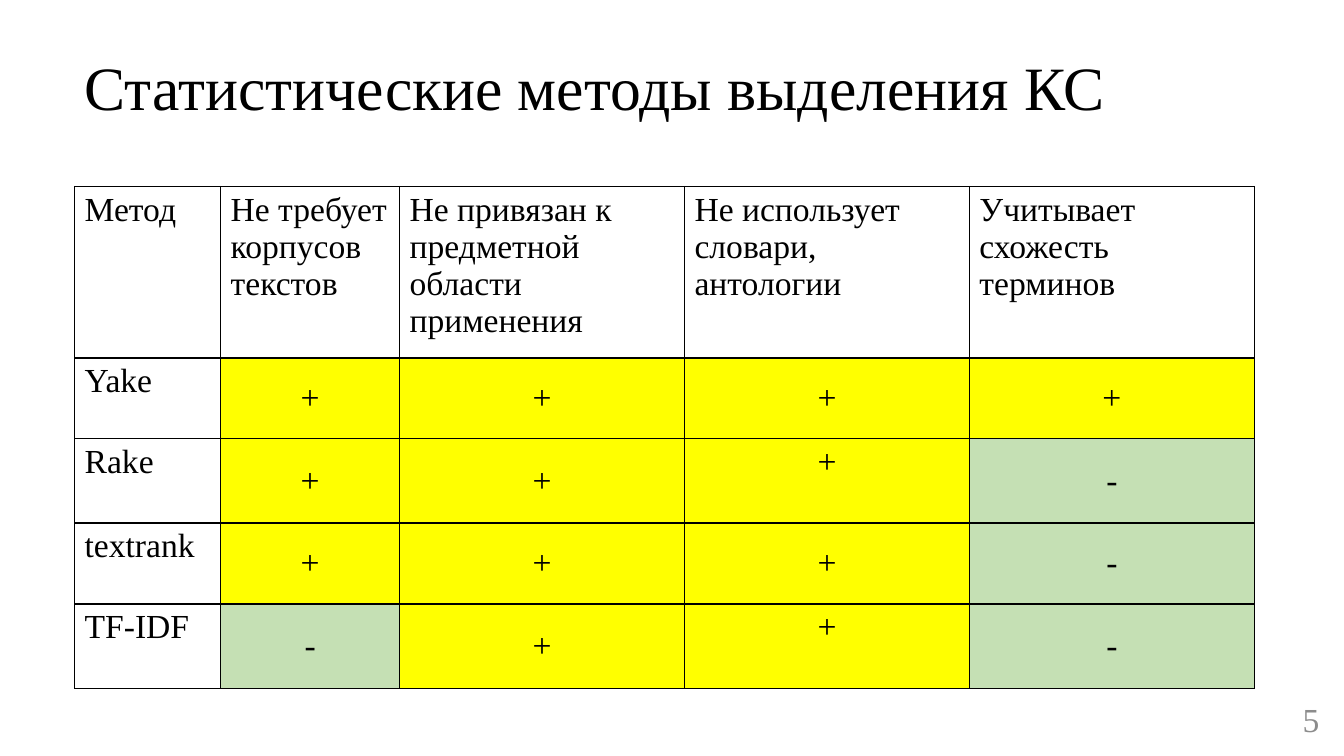
from lxml import etree
from pptx import Presentation
from pptx.dml.color import RGBColor
from pptx.enum.text import MSO_ANCHOR, PP_ALIGN
from pptx.oxml.ns import qn
from pptx.util import Cm, Pt

LEFT, CENTER, RIGHT = PP_ALIGN.LEFT, PP_ALIGN.CENTER, PP_ALIGN.RIGHT
TOP, MIDDLE = MSO_ANCHOR.TOP, MSO_ANCHOR.MIDDLE

HEADS = [
    "Метод",
    "Не требует корпусов текстов",
    "Не привязан к предметной области применения",
    "Не использует словари, антологии",
    "Учитывает схожесть терминов",
]
MARKS = {"Yake": "++++", "Rake": "+++-", "textrank": "+++-", "TF-IDF": "-++-"}
RAISED = [(2, 3), (4, 3)]
FILLS = {"+": "FFFF00", "-": "C5E0B4"}
WIDTHS = [3.68, 4.51, 7.18, 7.18, 7.18]
HEIGHTS = [4.01, 2.04, 2.12, 2.04, 2.12]


def color(code):
    return RGBColor.from_string(code)


class Deck:
    font = "Times New Roman"
    ink = "000000"
    size = 24

    def __init__(self):
        self.file = Presentation()
        self.file.slide_width = Cm(33.87)
        self.file.slide_height = Cm(19.05)
        self.slide = self.file.slides.add_slide(self.file.slide_layouts[6])

    def style(self, frame, size, ink, align):
        for para in frame.paragraphs:
            para.alignment = align
            for run in para.runs:
                run.font.name = self.font
                run.font.size = Pt(size)
                run.font.color.rgb = color(ink)

    def text(self, words, x, y, w, h, size, ink, align=LEFT):
        box = self.slide.shapes.add_textbox(Cm(x), Cm(y), Cm(w), Cm(h))
        frame = box.text_frame
        frame.word_wrap = True
        frame.vertical_anchor = MIDDLE
        frame.text = words
        frame.paragraphs[0].line_spacing = 0.9
        self.style(frame, size, ink, align)

    def border(self, cell):
        props = cell._tc.get_or_add_tcPr()
        for side in ("a:lnL", "a:lnR", "a:lnT", "a:lnB"):
            line = etree.SubElement(props, qn(side), w=str(Pt(1)))
            fill = etree.SubElement(line, qn("a:solidFill"))
            etree.SubElement(fill, qn("a:srgbClr"), val=self.ink)

    def cell(self, cell, words, raised):
        mark = words in FILLS
        cell.text = words
        cell.vertical_anchor = MIDDLE if mark and not raised else TOP
        self.style(cell.text_frame, self.size, self.ink, CENTER if mark else LEFT)
        self.border(cell)
        if mark:
            cell.fill.solid()
            cell.fill.fore_color.rgb = color(FILLS[words])
        else:
            cell.fill.background()

    def table(self, rows, x, y, widths, heights, raised):
        grid = self.slide.shapes.add_table(
            len(rows), len(widths), Cm(x), Cm(y), Cm(sum(widths)), Cm(sum(heights))
        ).table
        grid.first_row = False
        grid.horz_banding = False
        for col, width in zip(grid.columns, widths):
            col.width = Cm(width)
        for r, (row, height) in enumerate(zip(rows, heights)):
            grid.rows[r].height = Cm(height)
            for c, words in enumerate(row):
                self.cell(grid.cell(r, c), words, (r, c) in raised)


def main():
    deck = Deck()
    deck.text("Статистические методы выделения КС", 1.88, 0.43, 30.12, 3.68, 44, deck.ink)
    rows = [HEADS] + [[name, *marks] for name, marks in MARKS.items()]
    deck.table(rows, 1.88, 4.7, WIDTHS, HEIGHTS, RAISED)
    deck.text("5", 25.88, 17.68, 7.62, 1.02, deck.size, "8C8C8C", RIGHT)
    deck.file.save("out.pptx")


if __name__ == "__main__":
    main()
